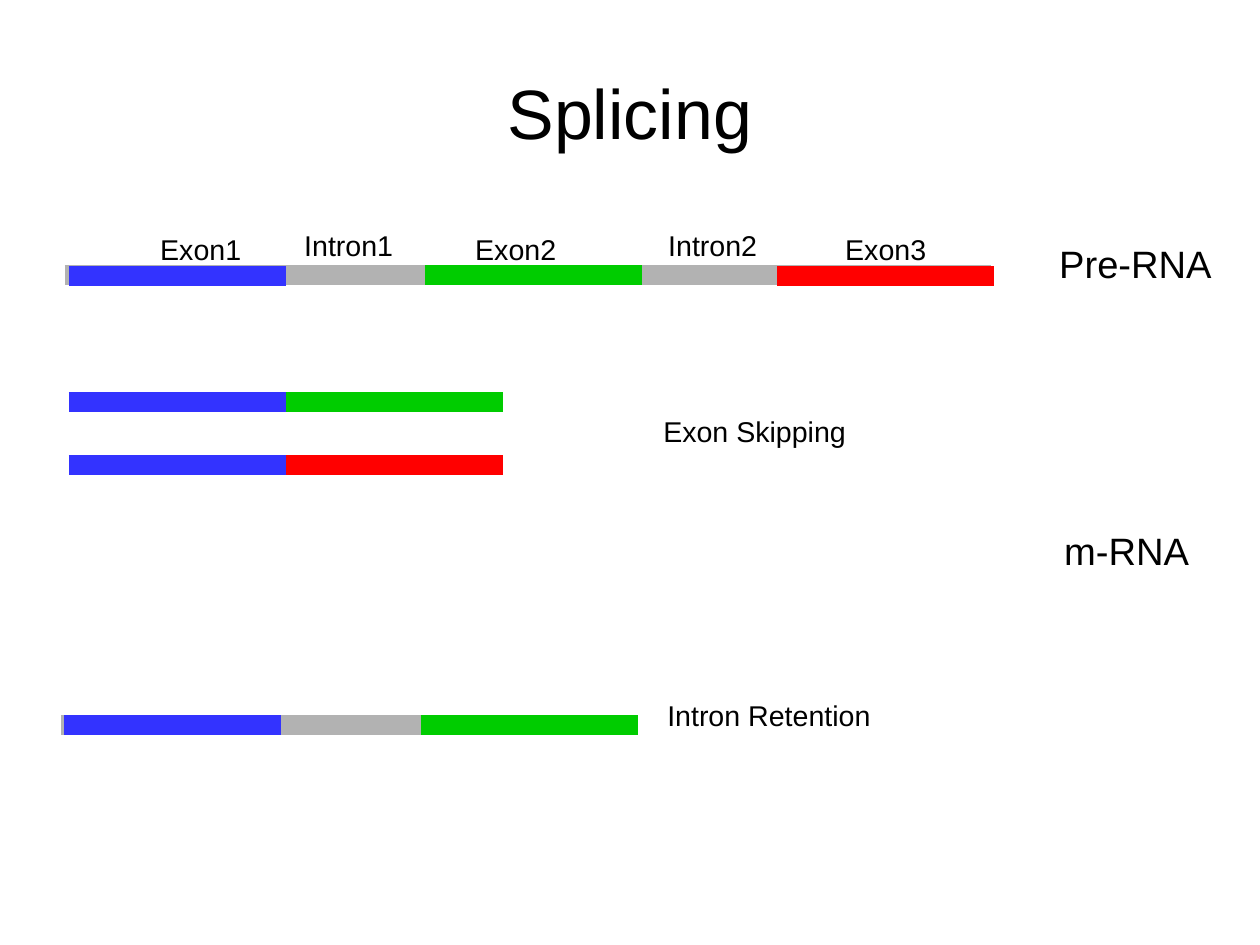
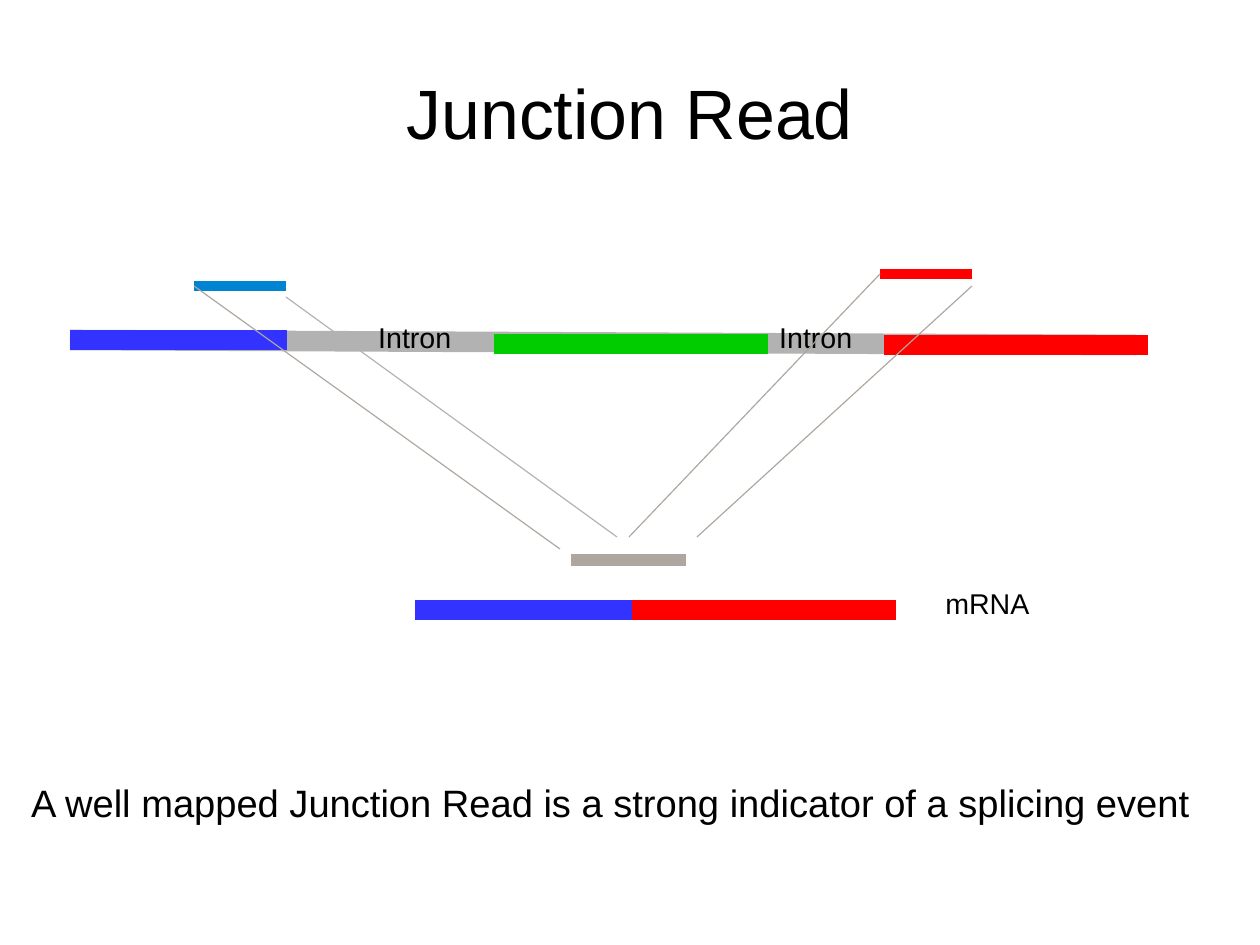
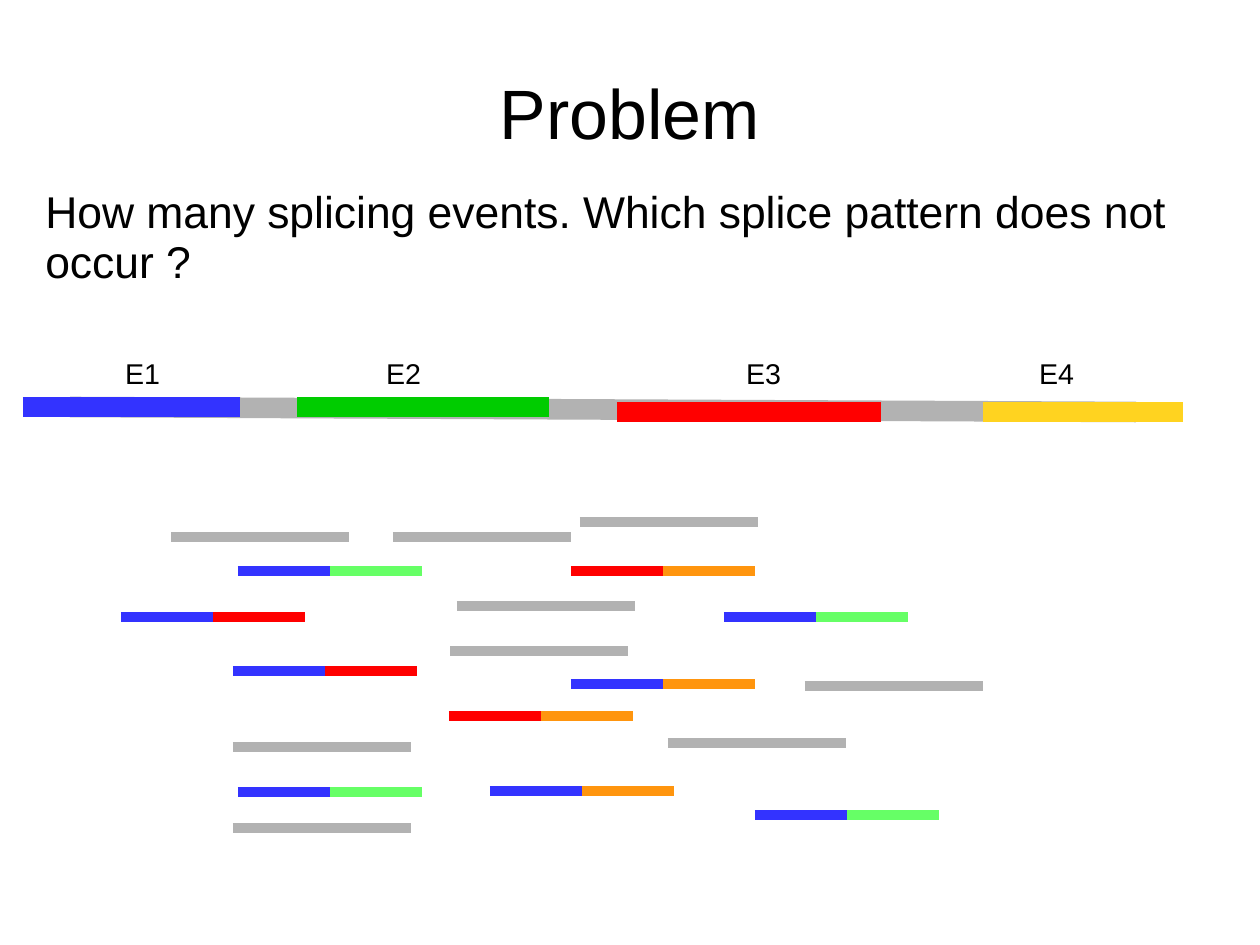
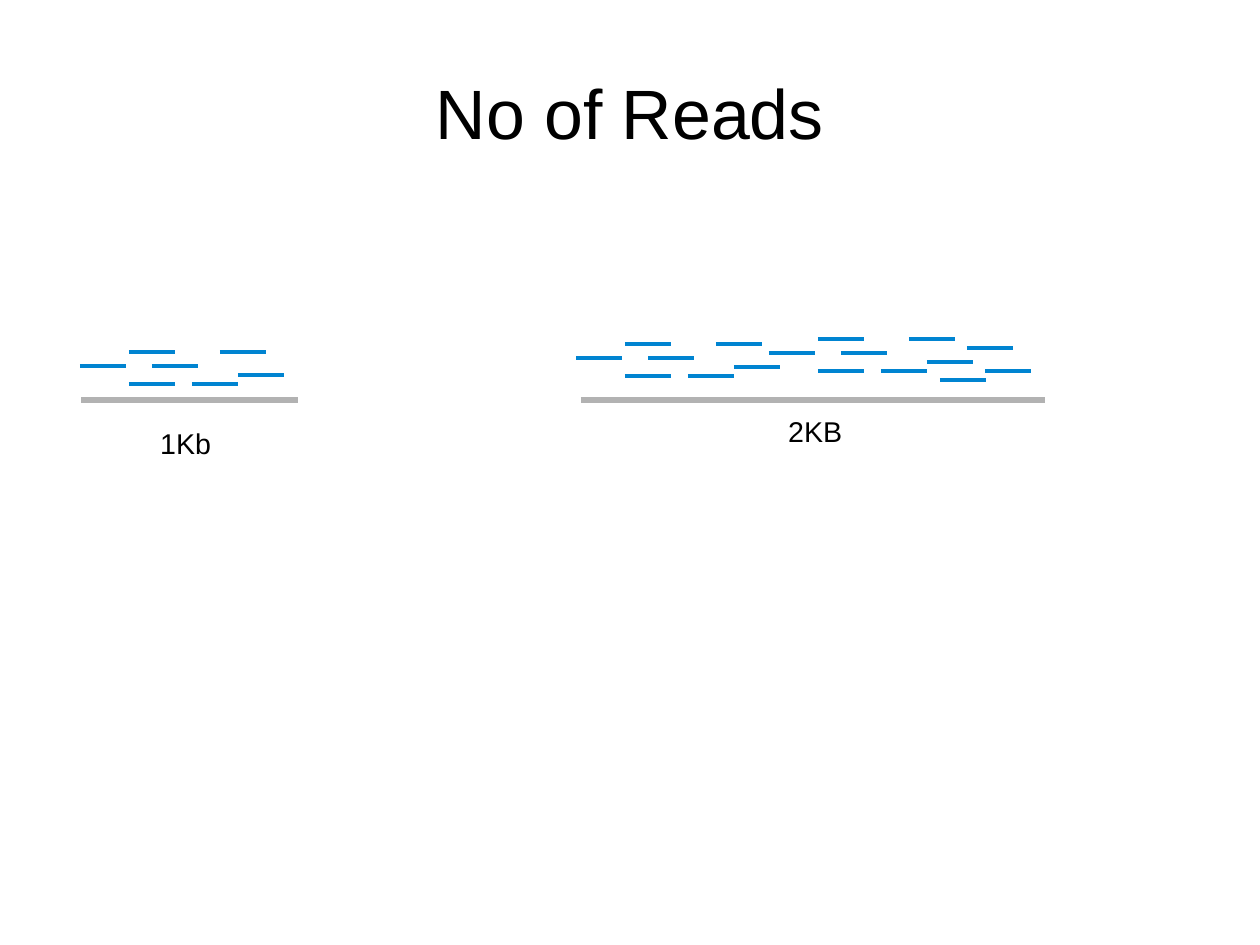
from lxml.etree import SubElement
from pptx import Presentation
from pptx.dml.color import RGBColor
from pptx.enum.shapes import MSO_CONNECTOR as Conn
from pptx.enum.text import MSO_ANCHOR as Anchor, PP_ALIGN as Align
from pptx.oxml.ns import qn
from pptx.util import Emu, Pt

PX = 8000  # EMU in one px

# Colours
BLACK, GRAY, TAUPE = "000000", "B2B2B2", "AEA79F"
BLUE, SKY, GREEN, LIME = "3333FF", "0084D1", "00CC00", "66FF66"
RED, ORANGE, GOLD = "FF0000", "FF950E", "FFD320"

# Line weights in points
THICK, PROBE, READ, HAIR = 12.95, 7.2, 5.75, 0.75
BASE, DASH = 4.31, 2.89


def px(n):
    return Emu(n * PX)


def rgb(code):
    return RGBColor.from_string(code)


class Deck:
    font = "Arial"
    space = 0.94

    def __init__(self, wide, high):
        self.prs = Presentation()
        self.prs.slide_width, self.prs.slide_height = px(wide), px(high)
        self.slide = None

    def page(self, title):
        self.slide = self.prs.slides.add_slide(self.prs.slide_layouts[6])
        box = self.text(title, 63, 37, 1134, 158, 44, Align.CENTER)
        box.vertical_anchor = Anchor.MIDDLE
        box.margin_left = box.margin_right = 0
        box.margin_top = box.margin_bottom = 0

    def text(self, words, x, y, w, h=46, size=18, align=Align.LEFT):
        box = self.slide.shapes.add_textbox(px(x), px(y), px(w), px(h))
        frame = box.text_frame
        frame.word_wrap = True
        para = frame.paragraphs[0]
        para.text = words
        para.alignment = align
        para.line_spacing = self.space
        para.font.name = self.font
        para.font.size = Pt(size)
        para.font.color.rgb = rgb(BLACK)
        return frame

    def line(self, x1, y1, x2, y2, color, weight):
        line = self.slide.shapes.add_connector(
            Conn.STRAIGHT, px(x1), px(y1), px(x2), px(y2))
        line.line.color.rgb = rgb(color)
        line.line.width = Pt(weight)
        SubElement(line._element.spPr, qn("a:effectLst"))

    def bar(self, x, y, length, color, weight=THICK):
        self.line(x, y, x + length, y, color, weight)

    def pair(self, x, y, length, left, right, weight):
        self.bar(x, y, length, left, weight)
        self.bar(x + length, y, length, right, weight)

    def save(self):
        self.prs.save("out.pptx")


def splicing(deck):
    deck.page("Splicing")
    exon = 217

    # Pre-RNA
    deck.bar(65, 275, 926, GRAY)
    deck.text("Pre-RNA", 1048, 238, 180, 57, 24)
    for x, y, color in ((69, 276, BLUE), (425, 275, GREEN), (777, 276, RED)):
        deck.bar(x, y, exon, color)
    for words, x, y, w in (("Exon1", 149, 229, 108), ("Exon2", 464, 229, 108),
                           ("Exon3", 834, 229, 108), ("Intron1", 293, 225, 116),
                           ("Intron2", 657, 225, 116)):
        deck.text(words, x, y, w)

    # m-RNA
    deck.pair(69, 402, exon, BLUE, GREEN, THICK)
    deck.pair(69, 465, exon, BLUE, RED, THICK)
    deck.text("m-RNA", 1053, 526, 152, 80, 24)
    deck.text("Exon Skipping", 652, 411, 210)
    deck.bar(61, 725, 577, GRAY)
    deck.bar(64, 725, exon, BLUE)
    deck.bar(421, 725, exon, GREEN)
    deck.text("Intron Retention", 656, 695, 230)


def junction(deck):
    deck.page("Junction Read")

    # Gene
    deck.line(70, 340, 1136, 345, GRAY, THICK)
    deck.bar(70, 340, 217, BLUE)
    deck.bar(494, 344, 274, GREEN)
    deck.bar(884, 345, 264, RED)
    for x in (367, 768):
        deck.text("Intron", x, 317, 101)

    # Message
    deck.bar(415, 610, 217, BLUE)
    deck.bar(632, 610, 264, RED)
    deck.text("mRNA", 934, 583, 111)

    # Read and its two mapped halves
    deck.bar(194, 286, 92, SKY, READ)
    deck.bar(880, 274, 92, RED, READ)
    deck.bar(571, 560, 115, TAUPE, PROBE)
    for x1, y1, x2, y2, color in ((194, 286, 560, 549, TAUPE),
                                  (286, 297, 617, 537, GRAY),
                                  (629, 537, 880, 274, TAUPE),
                                  (697, 537, 972, 286, TAUPE)):
        deck.line(x1, y1, x2, y2, color, HAIR)
    deck.text("A well mapped Junction Read is a strong indicator of a splicing event",
              20, 777, 1190, 57, 24)


def problem(deck):
    deck.page("Problem")

    # Gene with four exons
    deck.line(70, 407, 1136, 412, GRAY, THICK)
    for words, at, x, y, length, color in (("E1", 114, 23, 407, 217, BLUE),
                                           ("E2", 375, 297, 407, 252, GREEN),
                                           ("E3", 735, 617, 412, 264, RED),
                                           ("E4", 1028, 983, 412, 200, GOLD)):
        deck.bar(x, y, length, color)
        deck.text(words, at, 353, 62)

    # Junction reads
    for x, y, left, right in ((238, 571, BLUE, LIME), (571, 571, RED, ORANGE),
                              (121, 617, BLUE, RED), (724, 617, BLUE, LIME),
                              (233, 671, BLUE, RED), (571, 684, BLUE, ORANGE),
                              (449, 716, RED, ORANGE), (490, 791, BLUE, ORANGE),
                              (238, 792, BLUE, LIME), (755, 815, BLUE, LIME)):
        deck.pair(x, y, 92, left, right, READ)

    # Plain reads
    for x, y in ((580, 522), (171, 537), (393, 537), (457, 606), (450, 651),
                 (805, 686), (668, 743), (233, 747), (233, 828)):
        deck.bar(x, y, 178, GRAY, READ)
    deck.text("How many splicing events. Which splice pattern does not occur ?",
              34, 183, 1149, 114, 28)


def reads(deck):
    deck.page("No of Reads")

    # Genes
    deck.bar(81, 400, 217, GRAY, BASE)
    deck.bar(581, 400, 464, GRAY, BASE)
    deck.text("1Kb", 149, 423, 78)
    deck.text("2KB", 777, 411, 82)

    # Three like clusters of reads, and three single ones
    group = ((0, 0), (49, -14), (49, 18), (72, 0), (158, 9), (140, -14), (112, 18))
    spots = [(x + dx, y + dy) for x, y in ((80, 366), (576, 358), (769, 353))
             for dx, dy in group]
    for x, y in spots + [(985, 371), (967, 348), (940, 380)]:
        deck.bar(x, y, 46, SKY, DASH)


def main():
    deck = Deck(1260, 945)
    for build in (splicing, junction, problem, reads):
        build(deck)
    deck.save()


if __name__ == "__main__":
    main()
